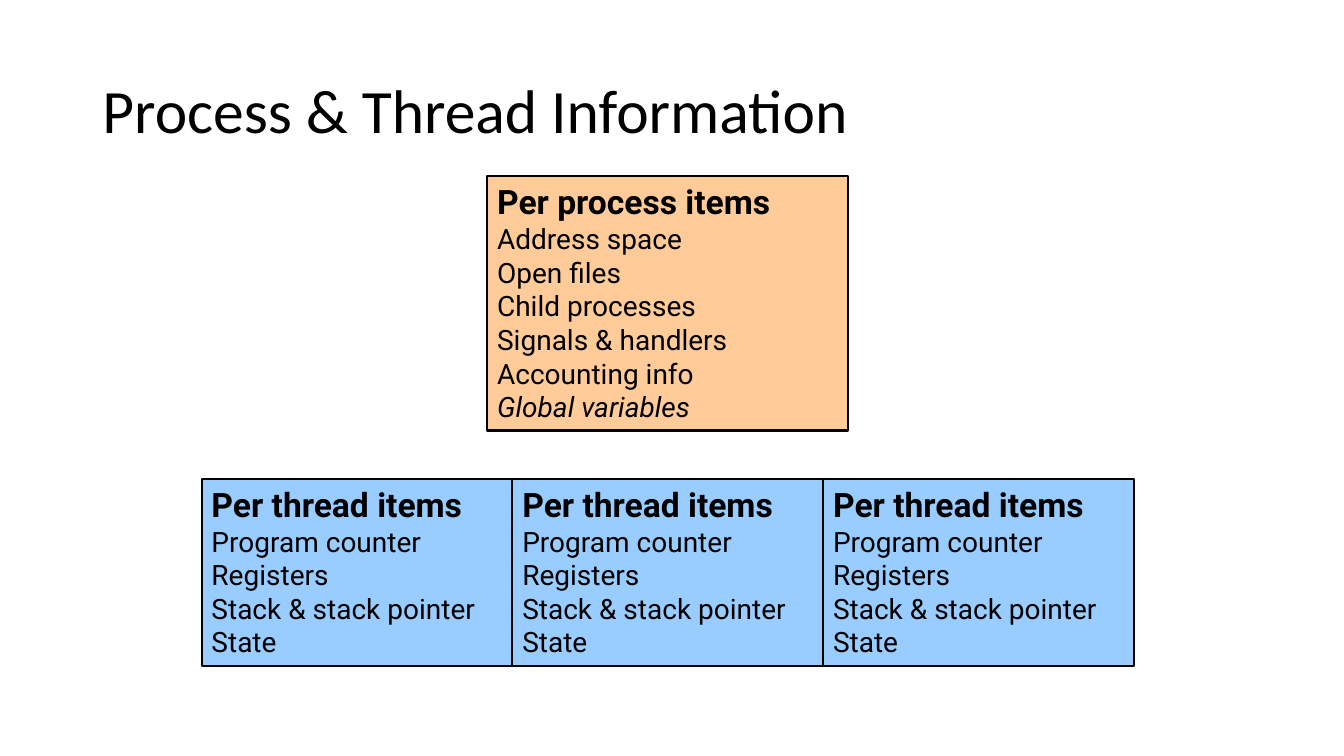
import pptx
import pptx.dml.color
import pptx.enum.shapes
import pptx.enum.text
import pptx.util

Pt = pptx.util.Pt
BLACK = pptx.dml.color.RGBColor(0x00, 0x00, 0x00)
ORANGE = pptx.dml.color.RGBColor(0xFF, 0xCC, 0x99)
BLUE = pptx.dml.color.RGBColor(0x99, 0xCC, 0xFF)

PROCESS_ITEMS = ["Address space", "Open files", "Child processes",
                 "Signals & handlers", "Accounting info", "Global variables"]
THREAD_ITEMS = ["Program counter", "Registers", "Stack & stack pointer", "State"]


class SlideBuilder:
    """Holds the style and the current slide."""
    title_font = "Calibri"
    body_font = "Roboto"

    def __init__(self, slide):
        self.slide = slide

    def style(self, paragraph, font_name, size, bold=False, italic=False):
        paragraph.alignment = pptx.enum.text.PP_ALIGN.LEFT
        font = paragraph.font
        font.name, font.size = font_name, Pt(size)
        font.bold, font.italic = bold, italic
        font.color.rgb = BLACK

    def title(self, text, left, top, width, height):
        title = self.slide.shapes.title
        title.left, title.top = Pt(left), Pt(top)
        title.width, title.height = Pt(width), Pt(height)
        frame = title.text_frame
        frame.text = text
        frame.word_wrap = True
        frame.auto_size = pptx.enum.text.MSO_AUTO_SIZE.NONE
        frame.vertical_anchor = pptx.enum.text.MSO_ANCHOR.MIDDLE
        heading = frame.paragraphs[0]
        heading.line_spacing = 0.9
        self.style(heading, self.title_font, 44)

    def item_box(self, heading, items, fill, left, top, width, height, italic_item=None):
        box = self.slide.shapes.add_shape(
            pptx.enum.shapes.MSO_SHAPE.RECTANGLE, Pt(left), Pt(top), Pt(width), Pt(height))
        box.shadow.inherit = False
        box.fill.solid()
        box.fill.fore_color.rgb = fill
        box.line.color.rgb = BLACK
        box.line.width = Pt(1.5)
        frame = box.text_frame
        frame.word_wrap = True
        frame.vertical_anchor = pptx.enum.text.MSO_ANCHOR.TOP
        frame.text = "\n".join([heading, *items])
        first, *rest = frame.paragraphs
        self.style(first, self.body_font, 24, bold=True)
        for paragraph in rest:
            self.style(paragraph, self.body_font, 20, italic=paragraph.text == italic_item)


def main():
    presentation = pptx.Presentation()
    presentation.slide_width, presentation.slide_height = Pt(960), Pt(540)
    builder = SlideBuilder(presentation.slides.add_slide(presentation.slide_layouts[5]))

    # Title
    builder.title("Process & Thread Information", 66, 28.75, 828, 104.4)

    # Items shared by the whole process
    builder.item_box("Per process items", PROCESS_ITEMS, ORANGE,
                     348, 126, 258, 181.5, italic_item="Global variables")

    # Items of each thread, side by side
    thread_width = 222
    for thread in range(3):
        builder.item_box("Per thread items", THREAD_ITEMS, BLUE,
                         144 + thread * thread_width, 342, thread_width, 133.5)

    presentation.save("out.pptx")


if __name__ == "__main__":
    main()
